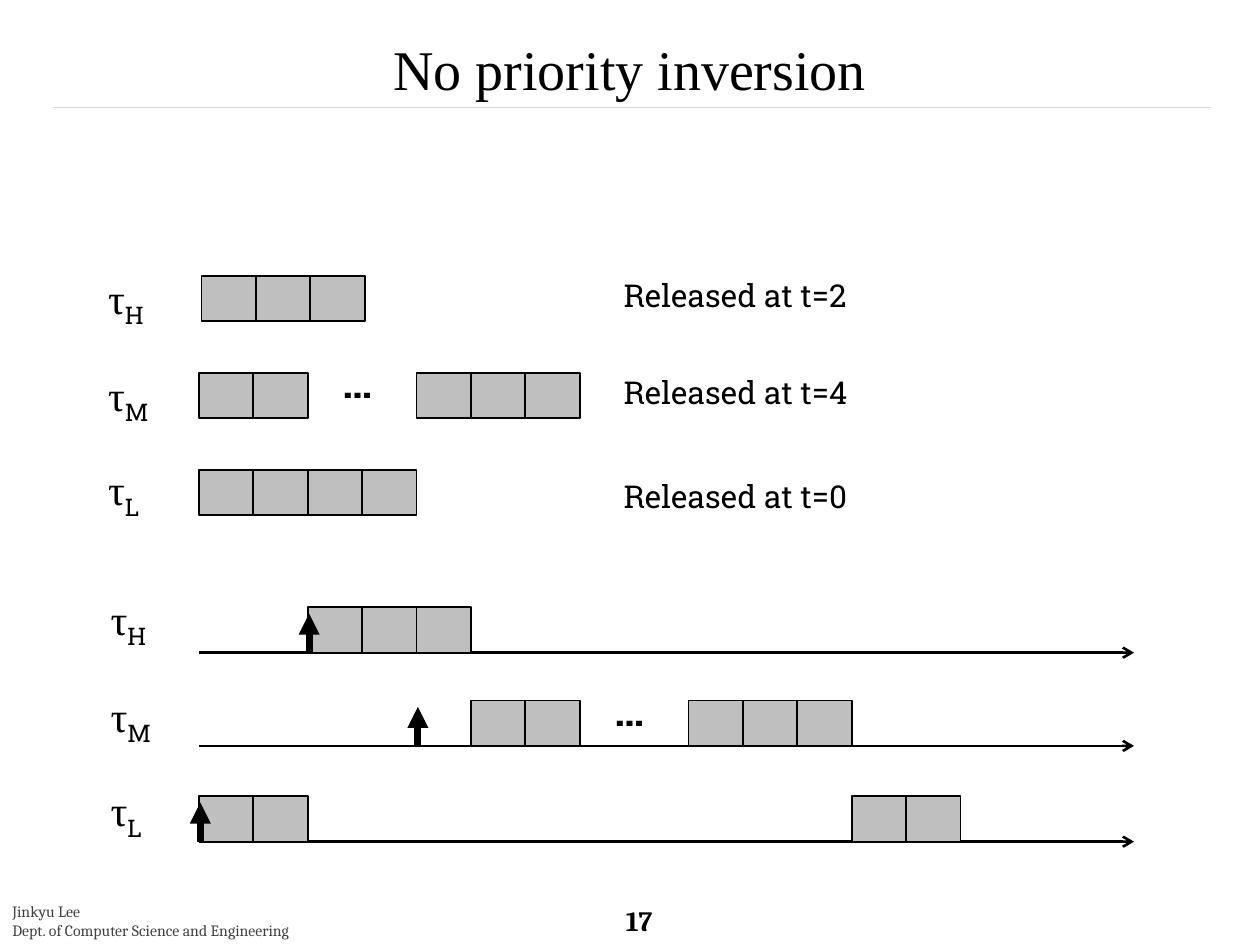
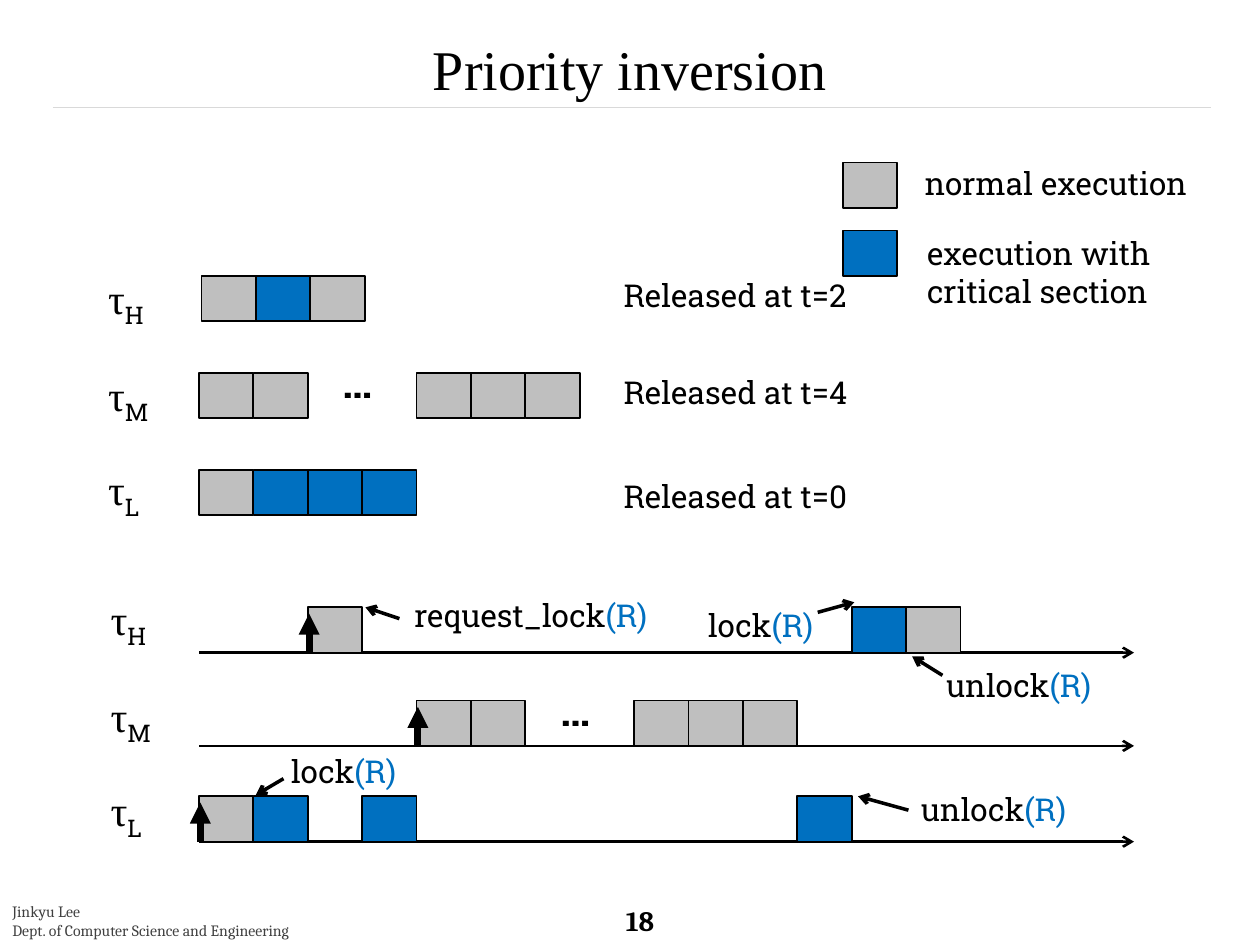
from pptx import Presentation
from pptx.dml.color import RGBColor
from pptx.enum.shapes import MSO_CONNECTOR, MSO_SHAPE
from pptx.enum.text import MSO_ANCHOR, MSO_AUTO_SIZE, PP_ALIGN
from pptx.oxml.ns import qn
from pptx.util import Inches, Pt
from lxml.etree import SubElement

COLORS = {
    "ink": "000000",
    "footer": "404040",
    "rule": "D9D9D9",
    "normal": "BFBFBF",
    "critical": "0070C0",
}
SERIF, SLAB, FOOTER_FONT = "Times New Roman", "Roboto Slab", "Cambria"

FOOTER = ["Jinkyu Lee", "Dept. of Computer Science and Engineering"]
TASKS = [
    {"name": "H", "release": 2, "left": 1.6, "top": 2.19, "label": 2.11, "note": 2.14,
     "axis": 5.18, "axis_label": 4.66},
    {"name": "M", "release": 4, "left": 1.58, "top": 2.96, "label": 2.88, "note": 2.91,
     "axis": 5.92, "axis_label": 5.43},
    {"name": "L", "release": 0, "left": 1.58, "top": 3.73, "label": 3.63, "note": 3.74,
     "axis": 6.68, "axis_label": 6.18},
]

# n: normal slot, c: critical slot, …: omitted slots, full stop: idle slot
SLIDES = [
    {
        "title": "No priority inversion",
        "page": "17",
        "jobs": ["nnn", "nn….nnn", "nnnn"],
        "schedule": ["..nnn", ".....nn….nnn", "nn..........nn"],
        "legend": [],
        "calls": [],
    },
    {
        "title": "Priority inversion",
        "page": "18",
        "jobs": ["ncn", "nn….nnn", "nccc"],
        "schedule": ["..n.........cn", "....nn….nnn", "nc.c.......c"],
        "legend": [
            ("n", 1.29, "normal execution", (7.24, 1.25, 2.88, 0.4)),
            ("c", 1.83, "execution with critical section", (7.26, 1.81, 2.11, 0.71)),
        ],
        "calls": [
            ("lock", (2.21, 5.92, 1.41, 0.4), (2.25, 6.18), (2.03, 6.31)),
            ("request_lock", (3.19, 4.68, 2.24, 0.4), (3.17, 4.91), (2.9, 4.82)),
            ("unlock", (7.21, 6.22, 1.41, 0.4), (7.21, 6.43), (6.81, 6.32)),
            ("lock", (5.52, 4.76, 1.41, 0.4), (6.49, 4.86), (6.78, 4.78)),
            ("unlock", (7.41, 5.24, 1.41, 0.4), (7.48, 5.36), (7.24, 5.21)),
        ],
    },
]

WIDTH, HEIGHT = 10, 7.5
ORIGIN, AXIS_END = 1.58, 9
SLOT = (6.76 - ORIGIN) / 12
SLOT_HEIGHT = 0.36
SLOT_COLORS = {"n": "normal", "c": "critical"}


def color(name):
    return RGBColor.from_string(COLORS[name])


def place(shape, box):
    shape.left, shape.top, shape.width, shape.height = map(Inches, box)


def write(frame, lines, size=18, font=SLAB, ink="ink", bold=False,
          align=PP_ALIGN.LEFT, anchor=MSO_ANCHOR.TOP, fit=MSO_AUTO_SIZE.NONE):
    frame.word_wrap = True
    frame.auto_size = fit
    frame.vertical_anchor = anchor
    for index, line in enumerate(lines):
        paragraph = frame.add_paragraph() if index else frame.paragraphs[0]
        paragraph.alignment = align
        for words, own in [(line, {})] if isinstance(line, str) else line:
            run = paragraph.add_run()
            run.text = words
            run.font.size = Pt(size)
            run.font.bold = bold
            run.font.name = own.get("font", font)
            run.font.color.rgb = color(own.get("ink", ink))
            if own.get("subscript"):
                run.font._element.set("baseline", "-25000")


def add_text(slide, box, lines, **style):
    write(slide.shapes.add_textbox(*map(Inches, box)).text_frame, lines, **style)


def add_line(slide, start, end, weight, ink="ink", head=None, tail=None):
    line = slide.shapes.add_connector(
        MSO_CONNECTOR.STRAIGHT, *map(Inches, (*start, *end)))
    line.line.width = Pt(weight)
    line.line.color.rgb = color(ink)
    outline = line.line._get_or_add_ln()
    for tag, kind in (("a:headEnd", head), ("a:tailEnd", tail)):
        if kind:
            SubElement(outline, qn(tag), type=kind)
    SubElement(line._element.spPr, qn("a:effectLst"))


def add_slot(slide, left, top, kind):
    slot = slide.shapes.add_shape(
        MSO_SHAPE.RECTANGLE, *map(Inches, (left, top, SLOT, SLOT_HEIGHT)))
    slot.shadow.inherit = False
    slot.fill.solid()
    slot.fill.fore_color.rgb = color(SLOT_COLORS[kind])
    slot.line.color.rgb = color("ink")
    slot.line.width = Pt(1)


def add_slots(slide, left, top, pattern):
    for index, kind in enumerate(pattern):
        slot_left = left + index * SLOT
        if kind in SLOT_COLORS:
            add_slot(slide, slot_left, top, kind)
        elif kind == "…":
            add_text(slide, (slot_left + 0.18, top - 0.18, 0.98, 0.5), [kind],
                     size=24, bold=True)


def add_task_label(slide, left, top, name):
    symbol = [("τ", {"font": SERIF}), (name, {"subscript": True})]
    add_text(slide, (left, top, 0.64, 0.5), [symbol], size=24)


def add_frame(slide, title, page):
    place(slide.shapes.title, (0, 0.17, WIDTH, 0.6))
    heading = slide.shapes.title.text_frame
    heading.margin_top = Inches(0.1)
    write(heading, [title], size=32, font=SERIF, align=PP_ALIGN.CENTER)
    add_line(slide, (0.42, 0.85), (9.61, 0.85), 0.1, ink="rule")
    add_text(slide, (4.87, 7.15, 0.66, 0.31), [page], size=16, font=FOOTER_FONT,
             bold=True, anchor=MSO_ANCHOR.MIDDLE)
    add_text(slide, (0, 7.11, 2.76, 0.4), FOOTER, size=9, font=FOOTER_FONT,
             ink="footer", fit=MSO_AUTO_SIZE.SHAPE_TO_FIT_TEXT)


def add_job(slide, task, pattern):
    add_task_label(slide, 0.76, task["label"], task["name"])
    add_slots(slide, task["left"], task["top"], pattern)
    add_text(slide, (4.85, task["note"], 2.11, 0.4),
             [f"Released at t={task['release']}"])


def add_timeline(slide, task, pattern):
    axis = task["axis"]
    release = ORIGIN + task["release"] * SLOT + 0.01
    add_line(slide, (ORIGIN, axis), (AXIS_END, axis), 1.5, tail="arrow")
    add_task_label(slide, 0.78, task["axis_label"], task["name"])
    add_slots(slide, ORIGIN, axis - SLOT_HEIGHT, pattern)
    add_line(slide, (release, axis - 0.31), (release, axis), 4, head="triangle")


def build_slide(deck, content):
    slide = deck.slides.add_slide(deck.slide_layouts.get_by_name("Title Only"))
    add_frame(slide, content["title"], content["page"])
    for task, job, schedule in zip(TASKS, content["jobs"], content["schedule"]):
        add_job(slide, task, job)
        add_timeline(slide, task, schedule)
    for kind, top, meaning, box in content["legend"]:
        add_slot(slide, 6.69, top, kind)
        add_text(slide, box, [meaning])
    for call, box, start, end in content["calls"]:
        add_text(slide, box, [[(call, {}), ("(R)", {"ink": "critical"})]])
        add_line(slide, start, end, 2, tail="arrow")


def main():
    deck = Presentation()
    deck.slide_width, deck.slide_height = Inches(WIDTH), Inches(HEIGHT)
    for content in SLIDES:
        build_slide(deck, content)
    deck.save("out.pptx")


if __name__ == "__main__":
    main()
